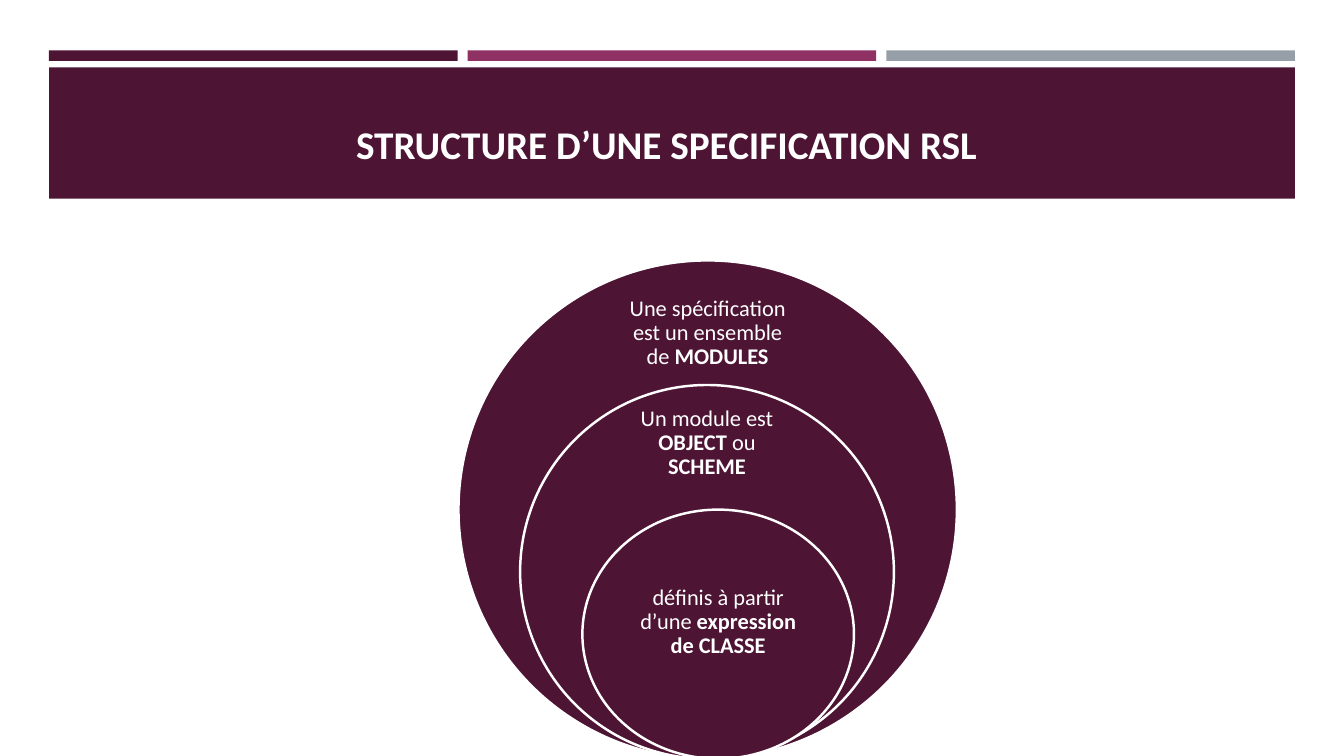
from pptx import Presentation
from pptx.dml.color import RGBColor
from pptx.enum.shapes import MSO_SHAPE
from pptx.enum.text import MSO_ANCHOR, PP_ALIGN
from pptx.util import Pt

RECTANGLE, OVAL = MSO_SHAPE.RECTANGLE, MSO_SHAPE.OVAL
MIDDLE, BOTTOM = MSO_ANCHOR.MIDDLE, MSO_ANCHOR.BOTTOM
CENTER = PP_ALIGN.CENTER

COLORS = {"plum": "4D1434", "berry": "903163", "grey": "969FA7", "white": "FFFFFF"}

# Each ring: width, height, centre x, caption centre y, caption width, spans (text, bold)
RINGS = [
    (356, 356, 505.5, 238, 114,
     [("Une spécification est un ensemble de ", False), ("MODULES", True)]),
    (267, 267, 505, 316.5, 112,
     [("Un module est ", False), ("OBJECT", True), (" ou ", False), ("SCHEME", True)]),
    (194, 178, 513, 444.5, 120,
     [("définis à partir d’une ", False), ("expression de CLASSE", True)]),
]
CAPTION_HEIGHT = 60


def color(name):
    return RGBColor.from_string(COLORS[name])


def add_filled(page, kind, box, fill, outline=None):
    shape = page.shapes.add_shape(kind, *map(Pt, box))
    shape.shadow.inherit = False
    shape.fill.solid()
    shape.fill.fore_color.rgb = color(fill)
    if outline:
        shape.line.color.rgb = color(outline)
        shape.line.width = Pt(1.75)
    else:
        shape.line.fill.background()


def add_label(page, box, spans, size, anchor, spacing=1.0):
    """Add one centred white paragraph made of (text, bold) spans."""
    frame = page.shapes.add_textbox(*map(Pt, box)).text_frame
    frame_format = {"word_wrap": True, "vertical_anchor": anchor,
                    "margin_left": 0, "margin_right": 0}
    for name, value in frame_format.items():
        setattr(frame, name, value)
    para = frame.paragraphs[0]
    para.alignment = CENTER
    para.line_spacing = spacing
    for text, bold in spans:
        span = para.add_run()
        span.text = text
        font_format = {"name": "Calibri", "size": Pt(size), "bold": bold}
        for name, value in font_format.items():
            setattr(span.font, name, value)
        span.font.color.rgb = color("white")


def add_header(page, left, top, width, height):
    """Three colour strips above a title band."""
    gap, strip_height, band_offset = 7.2, 7.5, 12.2
    strip_width = (width - 2 * gap) / 3
    for index, fill in enumerate(("plum", "berry", "grey")):
        strip_left = left + index * (strip_width + gap)
        add_filled(page, RECTANGLE, (strip_left, top, strip_width, strip_height), fill)
    band_height = height - band_offset
    add_filled(page, RECTANGLE, (left, top + band_offset, width, band_height), "plum")
    add_label(page, (left + 7, top + 22.3, width - 22, 65),
              [("STRUCTURE D’UNE SPECIFICATION RSL", True)], 28, BOTTOM)


def add_rings(page, bottom):
    """Nested ovals that all rest on the same bottom line."""
    for width, height, center, caption_middle, caption_width, spans in RINGS:
        oval_box = (center - width / 2, bottom - height, width, height)
        add_filled(page, OVAL, oval_box, "plum", "white")
        caption_box = (center - caption_width / 2, caption_middle - CAPTION_HEIGHT / 2,
                       caption_width, CAPTION_HEIGHT)
        add_label(page, caption_box, spans, 16, MIDDLE, 0.9)


def main():
    deck = Presentation()
    deck.slide_width, deck.slide_height = Pt(960), Pt(540)
    page = deck.slides.add_slide(deck.slide_layouts[6])
    add_header(page, 35, 36, 890, 106)
    add_rings(page, 542)
    deck.save("out.pptx")


if __name__ == "__main__":
    main()
